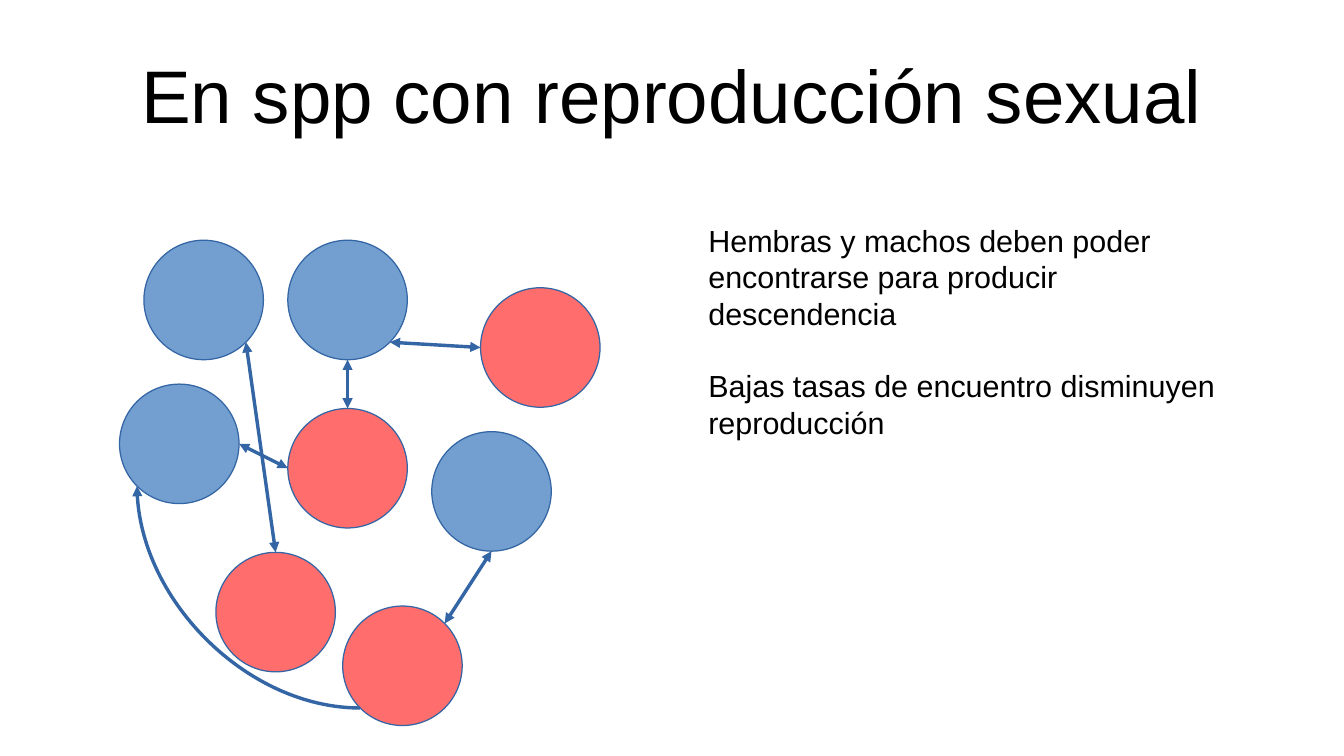
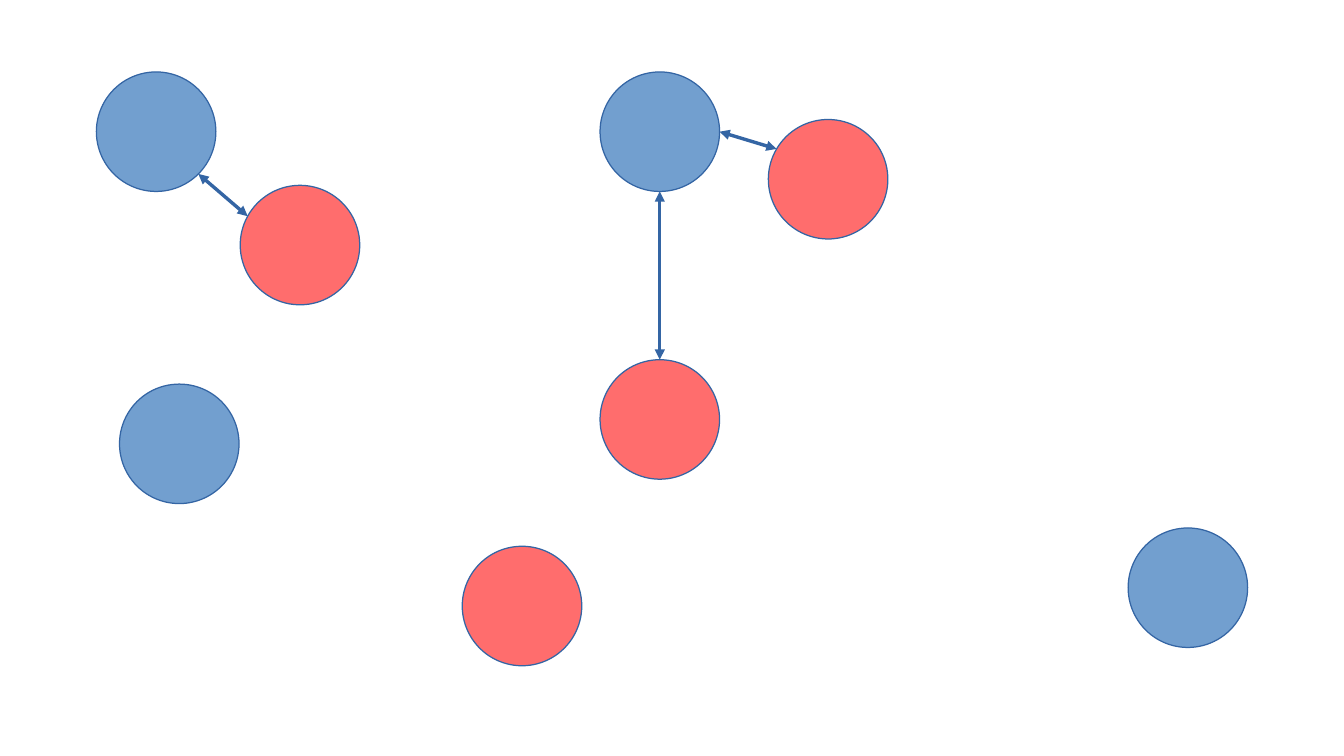
from math import cos, radians, sin
from typing import NamedTuple

from lxml.etree import SubElement
from pptx import Presentation
from pptx.dml.color import RGBColor
from pptx.enum.shapes import MSO_CONNECTOR as Link, MSO_SHAPE as Preset
from pptx.enum.text import MSO_ANCHOR as Anchor, PP_ALIGN as Align
from pptx.oxml.ns import qn
from pptx.util import Inches, Pt

COLORS = {"male": "729FCF", "female": "FF6D6D", "outline": "3465A4", "text": "000000"}
FONT = "Arial"
DIAMETER = 0.98
# Clockwise angles from the right-hand side of a circle
SIDES = {"E": 0, "SE": 45, "S": 90, "SW": 135, "W": 180, "NW": 225, "N": 270, "NE": 315}


class Individual(NamedTuple):
    sex: str
    left: float
    top: float
    turn: float = 0

    def side(self, name):
        """Point on the rim at a compass side, turned with the circle."""
        angle = radians(SIDES[name] + self.turn)
        radius = DIAMETER / 2
        return (self.left + radius * (1 + cos(angle)),
                self.top + radius * (1 + sin(angle)))


CLOSE_GROUP = {
    "m1": Individual("male", 0.2, 0),
    "m2": Individual("male", 1.38, 0),
    "m3": Individual("male", 0, 1.18),
    "m4": Individual("male", 2.56, 1.57),
    "f1": Individual("female", 1.38, 1.38),
    "f2": Individual("female", 2.96, 0.39),
    "f3": Individual("female", 0.79, 2.56),
    "f4": Individual("female", 1.83, 3),
}
CLOSE_MEETINGS = [
    ("m3", "E", "f1", "W"),
    ("m1", "SE", "f3", "N"),
    ("m2", "S", "f1", "N"),
    ("m2", "SE", "f2", "W"),
    ("f4", "NE", "m4", "S"),
]
CLOSE_DETOUR = ("f4", "SW", "m3", "SW")

SPARSE_GROUP = {
    "m1": Individual("male", 0, 0),
    "m2": Individual("male", 4.13, 0),
    "m3": Individual("male", 0.19, 2.56),
    "m4": Individual("male", 8.46, 3.74),
    "f1": Individual("female", 4.13, 2.36),
    "f2": Individual("female", 5.51, 0.39, 30.5),
    "f3": Individual("female", 1.18, 0.93, -16.1),
    "f4": Individual("female", 3, 3.89),
}
SPARSE_MEETINGS = [
    ("m1", "SE", "f3", "NW"),
    ("m2", "S", "f1", "N"),
    ("m2", "E", "f2", "W"),
]

STATEMENTS = [
    "Hembras y machos deben poder encontrarse para producir descendencia",
    "Bajas tasas de encuentro disminuyen reproducción",
]


def color(name):
    return RGBColor.from_string(COLORS[name])


def add_text(slide, box, paragraphs, size, align=Align.LEFT, anchor=Anchor.TOP,
             insets=(0.1, 0.05), gap=0):
    frame = slide.shapes.add_textbox(*map(Inches, box)).text_frame
    frame.word_wrap = True
    frame.vertical_anchor = anchor
    frame.margin_left = frame.margin_right = Inches(insets[0])
    frame.margin_top = frame.margin_bottom = Inches(insets[1])
    for index, words in enumerate(paragraphs):
        paragraph = frame.add_paragraph() if index else frame.paragraphs[0]
        paragraph.alignment = align
        if index:
            paragraph.space_before = Pt(gap)
        run = paragraph.add_run()
        run.text = words
        run.font.size = Pt(size)
        run.font.name = FONT
        run.font.color.rgb = color("text")


def add_title(slide, words):
    add_text(slide, (0.55, 0.25, 9.92, 1.04), [words], 44,
             Align.CENTER, Anchor.MIDDLE, insets=(0, 0))


def outline(line):
    line.color.rgb = color("outline")
    line.width = Pt(0)


def add_individual(slide, left, top, individual):
    circle = slide.shapes.add_shape(
        Preset.OVAL, Inches(left + individual.left), Inches(top + individual.top),
        Inches(DIAMETER), Inches(DIAMETER))
    circle.rotation = individual.turn
    circle.shadow.inherit = False
    circle.fill.solid()
    circle.fill.fore_color.rgb = color(individual.sex)
    outline(circle.line)


def add_arrow(slide, kind, start, end, arrowheads):
    arrow = slide.shapes.add_connector(kind, *map(Inches, (*start, *end)))
    outline(arrow.line)
    for arrowhead in arrowheads:
        SubElement(arrow.line._get_or_add_ln(), qn(f"a:{arrowhead}"), type="triangle")
    SubElement(arrow._element.spPr, qn("a:effectLst"))
    return arrow


def add_population(slide, left, top, group, meetings, detour=None):
    """Circles with the arrows between them, from the given corner."""
    def rim(name, side):
        x, y = group[name].side(side)
        return left + x, top + y

    for individual in group.values():
        add_individual(slide, left, top, individual)
    for first, first_side, second, second_side in meetings:
        add_arrow(slide, Link.STRAIGHT, rim(first, first_side),
                  rim(second, second_side), ("headEnd", "tailEnd"))
    if detour:
        # A half turn makes the quarter curve leave leftwards and arrive upwards
        curve = add_arrow(slide, Link.CURVE, rim(*detour[2:]), rim(*detour[:2]),
                          ("tailEnd",))
        properties = curve._element.spPr
        properties.find(qn("a:xfrm")).set("rot", str(180 * 60000))
        properties.find(qn("a:prstGeom")).set("prst", "curvedConnector2")


def main():
    deck = Presentation()
    deck.slide_width, deck.slide_height = Inches(11.02), Inches(6.2)
    blank = deck.slide_layouts[6]

    close = deck.slides.add_slide(blank)
    add_title(close, "En spp con reproducción sexual")
    add_population(close, 0.98, 1.97, CLOSE_GROUP, CLOSE_MEETINGS, CLOSE_DETOUR)
    add_text(close, (5.71, 1.77, 4.53, 2.34), STATEMENTS, 18, gap=21)

    sparse = deck.slides.add_slide(blank)
    add_population(sparse, 0.79, 0.59, SPARSE_GROUP, SPARSE_MEETINGS)

    deck.save("out.pptx")


if __name__ == "__main__":
    main()
